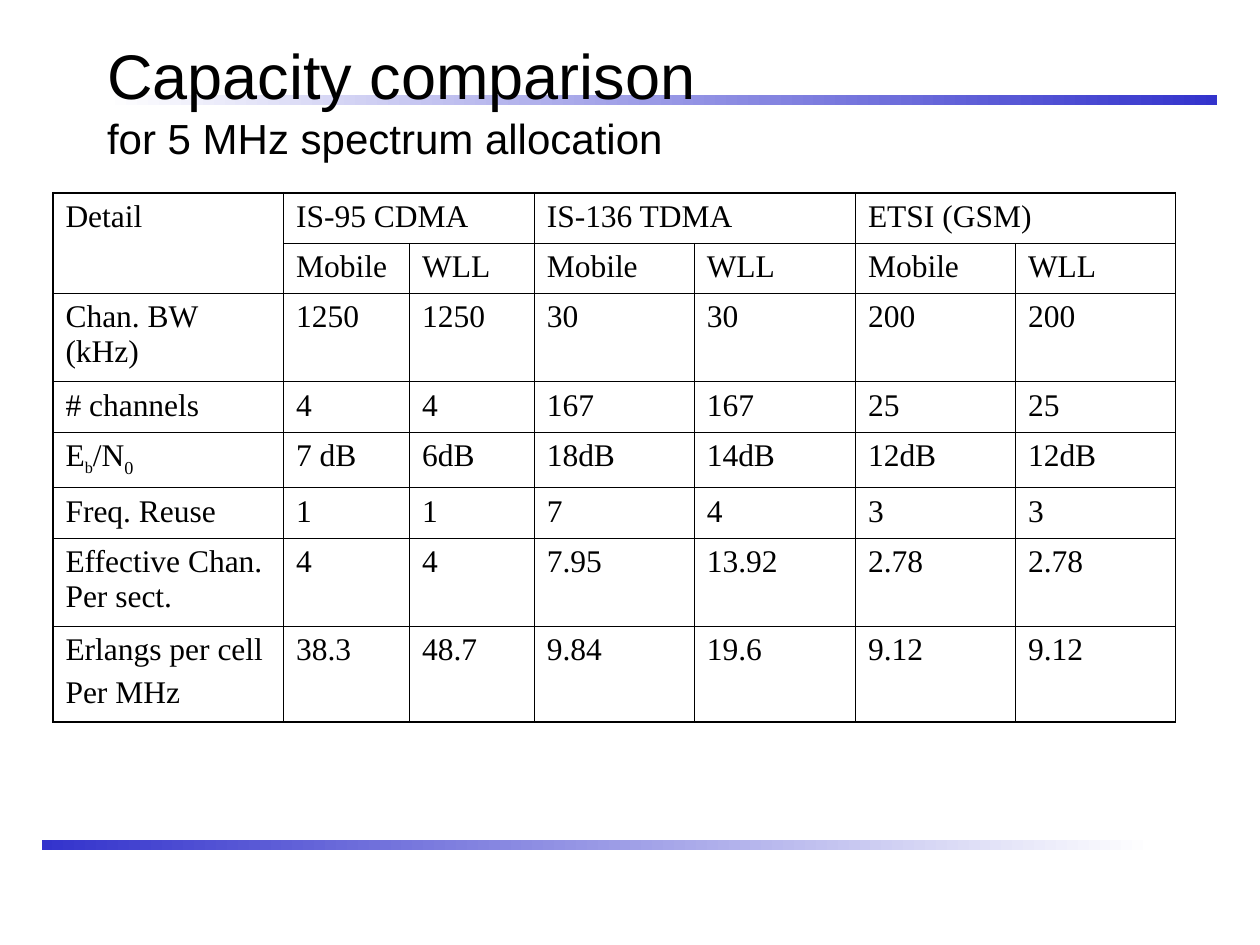
"""Build the slide comparing the capacity of three cellular standards."""
from lxml import etree
from pptx import Presentation
from pptx.dml.color import RGBColor
from pptx.enum.shapes import MSO_SHAPE
from pptx.enum.text import MSO_ANCHOR, MSO_AUTO_SIZE, PP_ALIGN
from pptx.oxml.ns import qn
from pptx.util import Inches, Pt

RECTANGLE = MSO_SHAPE.RECTANGLE
MIDDLE = MSO_ANCHOR.MIDDLE
LEFT = PP_ALIGN.LEFT
NO_AUTOFIT = MSO_AUTO_SIZE.NONE

BLACK, WHITE, BLUE = "000000", "FFFFFF", "3333CC"
TITLE_LINES = (("Capacity comparison", 36), ("for 5 MHz spectrum allocation", 24))
BARS = ((0.83, 0.75, WHITE, BLUE), (0.33, 6.67, BLUE, WHITE))
BAR_SIZE = (8.83, 0.08)

SIGNAL_TO_NOISE = (("E", 18, 0), ("b", 16, -25), ("/N", 18, 0), ("0", 18, -25))
ROWS = (
    (0.4, ("Detail", "IS-95 CDMA", "", "IS-136 TDMA", "", "ETSI (GSM)", "")),
    (0.4, ("",) + ("Mobile", "WLL") * 3),
    (0.7, ("Chan. BW (kHz)", "1250", "1250", "30", "30", "200", "200")),
    (0.4, ("# channels", "4", "4", "167", "167", "25", "25")),
    (0.44, (SIGNAL_TO_NOISE, "7 dB", "6dB", "18dB", "14dB", "12dB", "12dB")),
    (0.4, ("Freq. Reuse", "1", "1", "7", "4", "3", "3")),
    (0.7, ("Effective Chan. Per sect.", "4", "4", "7.95", "13.92", "2.78", "2.78")),
    (0.76, ("Erlangs per cell\nPer MHz", "38.3", "48.7", "9.84", "19.6", "9.12", "9.12")),
)
COLUMN_WIDTHS = (1.83, 1, 0.99, 1.27, 1.28, 1.27, 1.27)
MERGES = ((0, 0, 1, 0), (0, 1, 0, 2), (0, 3, 0, 4), (0, 5, 0, 6))
OUTER_LINE, INNER_LINE = 1.08, 0.45


def color(value):
    return RGBColor.from_string(value)


def format_run(run, font_name, size, baseline=0):
    run.font.name = font_name
    run.font.size = Pt(size)
    run.font.color.rgb = color(BLACK)
    if baseline:
        run.font._element.set("baseline", str(baseline * 1000))


def add_bar(slide, left, top, start, end):
    bar = slide.shapes.add_shape(RECTANGLE, *map(Inches, (left, top, *BAR_SIZE)))
    bar.shadow.inherit = False
    bar.line.fill.background()
    bar.fill.gradient()
    bar.fill.gradient_angle = 0
    for stop, value in zip(bar.fill.gradient_stops, (start, end)):
        stop.color.rgb = color(value)
    slide.shapes._spTree.insert(2, bar._element)


def fill_title(title):
    title.left, title.top, title.width, title.height = map(Inches, (0.75, 0.33, 8.5, 0.92))
    frame = title.text_frame
    frame.auto_size = NO_AUTOFIT
    frame.vertical_anchor = MIDDLE
    frame.text = "\v".join(text for text, size in TITLE_LINES)
    paragraph = frame.paragraphs[0]
    paragraph.alignment = LEFT
    for run, (text, size) in zip(paragraph.runs, TITLE_LINES):
        format_run(run, "Arial", size)
    for line_break in paragraph._p.iter(qn("a:br")):
        etree.SubElement(line_break, qn("a:rPr")).set("sz", "2400")


def set_border(cell, side, width):
    line = etree.SubElement(cell._tc.get_or_add_tcPr(), qn(f"a:ln{side}"), w=str(Pt(width)))
    fill = etree.SubElement(line, qn("a:solidFill"))
    etree.SubElement(fill, qn("a:srgbClr"), val=BLACK)


def fill_cell(cell, content):
    if isinstance(content, str):
        cell.text_frame.text = content
    else:
        for text, size, baseline in content:
            run = cell.text_frame.paragraphs[0].add_run()
            run.text = text
            format_run(run, "Times New Roman", size, baseline)
        return
    for index, paragraph in enumerate(cell.text_frame.paragraphs):
        if index:
            paragraph.space_before = Pt(4.5)
        for run in paragraph.runs:
            format_run(run, "Times New Roman", 18)


def add_capacity_table(slide):
    last_row, last_column = len(ROWS) - 1, len(COLUMN_WIDTHS) - 1
    frame = slide.shapes.add_table(len(ROWS), len(COLUMN_WIDTHS),
                                   *map(Inches, (0.42, 1.53, 8.92, 4.16)))
    table = frame.table
    table.first_row = table.horz_banding = False
    for column, width in zip(table.columns, COLUMN_WIDTHS):
        column.width = Inches(width)
    for row_index, (height, contents) in enumerate(ROWS):
        table.rows[row_index].height = Inches(height)
        for column_index, content in enumerate(contents):
            cell = table.cell(row_index, column_index)
            outer_sides = {"L": column_index == 0, "R": column_index == last_column,
                           "T": row_index == 0, "B": row_index == last_row}
            for side, is_outer in outer_sides.items():
                set_border(cell, side, OUTER_LINE if is_outer else INNER_LINE)
            cell.fill.background()
            fill_cell(cell, content)
    for top, left, bottom, right in MERGES:
        table.cell(top, left).merge(table.cell(bottom, right))


def main():
    presentation = Presentation()
    presentation.slide_width, presentation.slide_height = Inches(10), Inches(7.5)
    slide = presentation.slides.add_slide(presentation.slide_layouts[5])
    fill_title(slide.shapes.title)
    for bar in BARS:
        add_bar(slide, *bar)
    add_capacity_table(slide)
    presentation.save("out.pptx")


if __name__ == "__main__":
    main()
